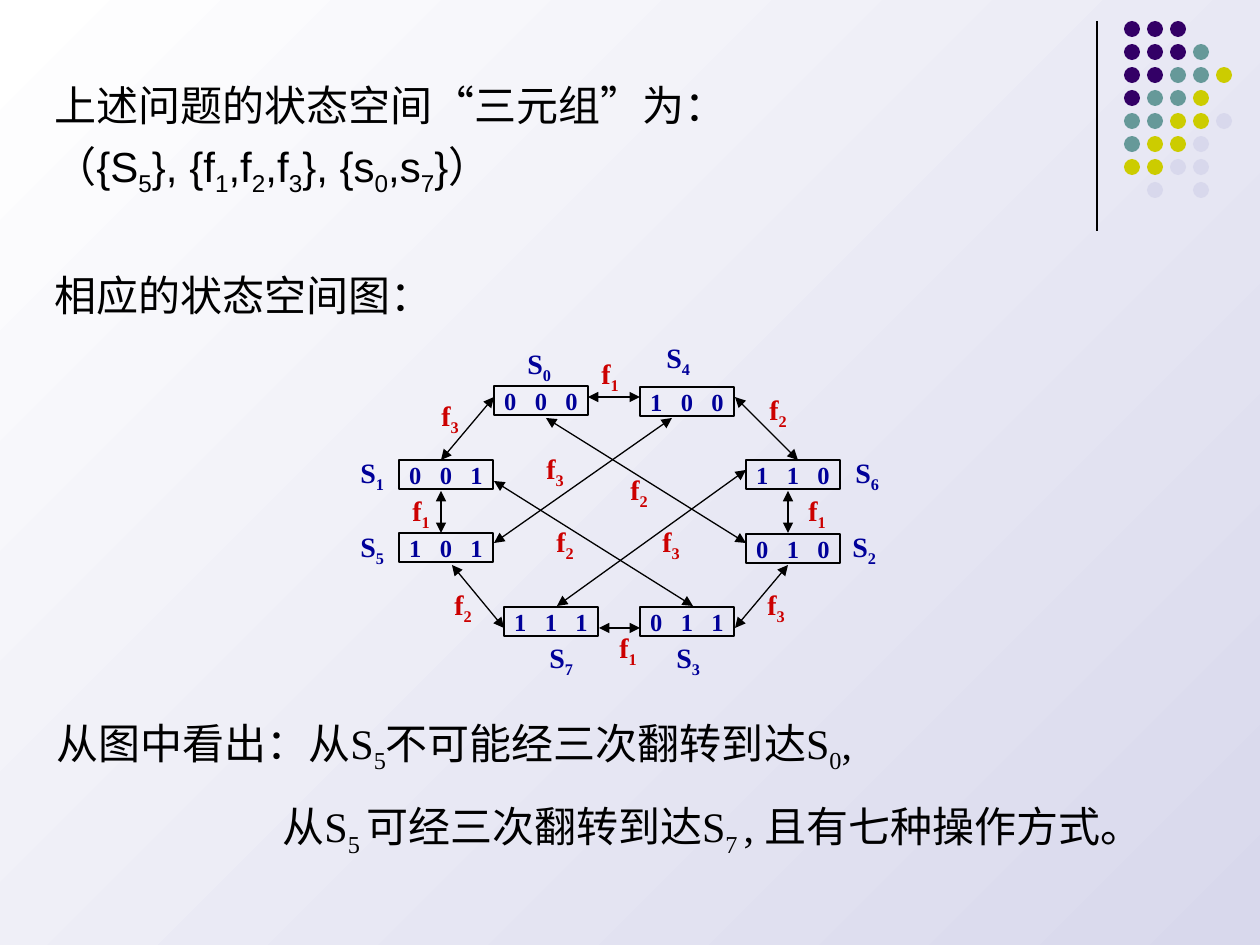
from dataclasses import dataclass

from lxml import etree
from pptx import Presentation
from pptx import util as u
from pptx.dml.color import RGBColor
from pptx.enum import shapes, text
from pptx.oxml.ns import qn

PX = 914400 / 126
BLACK, NAVY, RED = "000000", "000099", "CC0000"
DOT_COLORS = {"P": "330066", "T": "669999", "Y": "CCCC00", "L": "D8D8EC"}
DOT_ROWS = ["PPP", "PPPT", "PPTTY", "PTTY", "TTYYL", "TYYL", "YYLL", " L L"]
DOT_LEFT, DOT_TOP, DOT_PITCH, DOT_SIZE = 1124, 21, 23, 16
NODE_W, NODE_H = 94, 29
LABEL_W, LABEL_H = 60, 52


@dataclass(frozen=True)
class TextStyle:
    name: str
    size: int
    color: str
    bold: bool = False


@dataclass(frozen=True)
class Line:
    """One paragraph; the odd parts between bars are subscripts."""
    words: str
    before: int = 0
    indent: int = 0


@dataclass(frozen=True)
class State:
    index: int
    bits: str
    x: int
    y: int
    label_x: int
    label_y: int


@dataclass(frozen=True)
class Move:
    """A two-way arrow for flip f(index), with the place of its label."""
    index: int
    start: tuple[int, int]
    end: tuple[int, int]
    label_x: int
    label_y: int


HEADING = TextStyle("Arial", 24, BLACK)
REMARK = TextStyle("Times New Roman", 24, BLACK)
BITS = TextStyle("Times New Roman", 14, NAVY, True)
STATE_LABEL = TextStyle("Times New Roman", 16, NAVY, True)
MOVE_LABEL = TextStyle("Times New Roman", 16, RED, True)

STATES = [
    State(0, "000", 494, 386, 515, 340),
    State(4, "100", 640, 387, 654, 334),
    State(1, "001", 399, 460, 348, 449),
    State(5, "101", 399, 533, 348, 523),
    State(7, "111", 504, 607, 537, 634),
    State(3, "011", 640, 607, 664, 634),
    State(6, "110", 746, 460, 843, 449),
    State(2, "010", 746, 534, 840, 523),
]
MOVES = [
    Move(1, (588, 397), (640, 397), 589, 350),
    Move(3, (494, 397), (441, 460), 429, 392),
    Move(1, (441, 491), (441, 533), 400, 487),
    Move(2, (452, 565), (504, 628), 442, 581),
    Move(1, (599, 628), (640, 628), 607, 624),
    Move(3, (735, 628), (788, 565), 755, 581),
    Move(1, (788, 491), (788, 533), 796, 487),
    Move(2, (735, 397), (798, 460), 757, 386),
    Move(3, (494, 543), (672, 418), 534, 445),
    Move(3, (557, 606), (746, 470), 650, 518),
    Move(2, (546, 418), (746, 543), 618, 466),
    Move(2, (494, 481), (693, 606), 544, 518),
]


def px(*lengths: float) -> list[u.Emu]:
    return [u.Emu(round(length * PX)) for length in lengths]


def rgb(value: str) -> RGBColor:
    return RGBColor.from_string(value)


def write(frame, lines: list[Line], style: TextStyle, align=text.PP_ALIGN.LEFT) -> None:
    for number, line in enumerate(lines):
        para = frame.add_paragraph() if number else frame.paragraphs[0]
        para.alignment = align
        para.space_before = u.Pt(line.before)
        if line.indent:
            para._p.get_or_add_pPr().set("indent", str(px(line.indent)[0]))
        for part, words in enumerate(line.words.split("|")):
            if not words:
                continue
            span = para.add_run()
            span.text = words
            formats = {"name": style.name, "size": u.Pt(style.size), "bold": style.bold}
            for key, value in formats.items():
                setattr(span.font, key, value)
            span.font.color.rgb = rgb(style.color)
            if part % 2:
                span._r.get_or_add_rPr().set("baseline", "-25000")


def add_text(page, bounds: tuple, lines: list[Line], style: TextStyle) -> None:
    frame = page.shapes.add_textbox(*px(*bounds)).text_frame
    frame.word_wrap = True
    write(frame, lines, style)


def add_line(page, start: tuple[int, int], end: tuple[int, int], arrows: bool = False) -> None:
    line = page.shapes.add_connector(shapes.MSO_CONNECTOR.STRAIGHT, *px(*start, *end))
    line.line.color.rgb = rgb(BLACK)
    line.line.width = u.Pt(0.75)
    if arrows:
        for tip in ("a:headEnd", "a:tailEnd"):
            etree.SubElement(line.line._get_or_add_ln(), qn(tip), type="triangle")
    etree.SubElement(line._element.spPr, qn("a:effectLst"))


def add_dots(page) -> None:
    for row, codes in enumerate(DOT_ROWS):
        for column, code in enumerate(codes):
            if code == " ":
                continue
            dot = page.shapes.add_shape(
                shapes.MSO_SHAPE.OVAL,
                *px(DOT_LEFT + column * DOT_PITCH, DOT_TOP + row * DOT_PITCH, DOT_SIZE, DOT_SIZE))
            dot.shadow.inherit = False
            dot.fill.solid()
            dot.fill.fore_color.rgb = rgb(DOT_COLORS[code])
            dot.line.fill.background()


def add_state(page, state: State) -> None:
    box = page.shapes.add_shape(
        shapes.MSO_SHAPE.RECTANGLE, *px(state.x, state.y, NODE_W, NODE_H))
    box.shadow.inherit = False
    box.fill.background()
    box.line.color.rgb = rgb(BLACK)
    box.line.width = u.Pt(0.75)
    frame = box.text_frame
    formats = {"margin_left": 0, "margin_top": 0, "margin_right": 0, "margin_bottom": 0,
               "word_wrap": True, "vertical_anchor": text.MSO_ANCHOR.TOP}
    for key, value in formats.items():
        setattr(frame, key, value)
    write(frame, [Line("   ".join(state.bits))], BITS, text.PP_ALIGN.CENTER)


def add_label(page, letter: str, item: State | Move, style: TextStyle) -> None:
    bounds = (item.label_x, item.label_y, LABEL_W, LABEL_H)
    add_text(page, bounds, [Line(f"{letter}|{item.index}")], style)


def main() -> None:
    deck = Presentation()
    deck.slide_width, deck.slide_height = px(1260, 945)
    page = deck.slides.add_slide(deck.slide_layouts[6])
    fill = page.background.fill
    fill.gradient()
    fill.gradient_angle = 135
    for stop, color in zip(fill.gradient_stops, ("D8D8EC", "FFFFFF")):
        stop.color.rgb = rgb(color)

    add_line(page, (1097, 21), (1097, 231))
    add_dots(page)
    add_text(page, (42, 73, 1155, 105), [
        Line("上述问题的状态空间“三元组”为："),
        Line("（{S|5|}, {f|1|,f|2|,f|3|}, {s|0|,s|7|}）", before=6),
        Line("相应的状态空间图：", before=41),
    ], HEADING)
    add_text(page, (44, 711, 1100, 204), [
        Line("从图中看出：从S|5|不可能经三次翻转到达S|0|,"),
        Line("从S|5 |可经三次翻转到达S|7 |, 且有七种操作方式。", before=15, indent=226),
    ], REMARK)

    for state in STATES:
        add_state(page, state)
        add_label(page, "S", state, STATE_LABEL)
    for move in MOVES:
        add_line(page, move.start, move.end, arrows=True)
        add_label(page, "f", move, MOVE_LABEL)
    deck.save("out.pptx")


if __name__ == "__main__":
    main()
